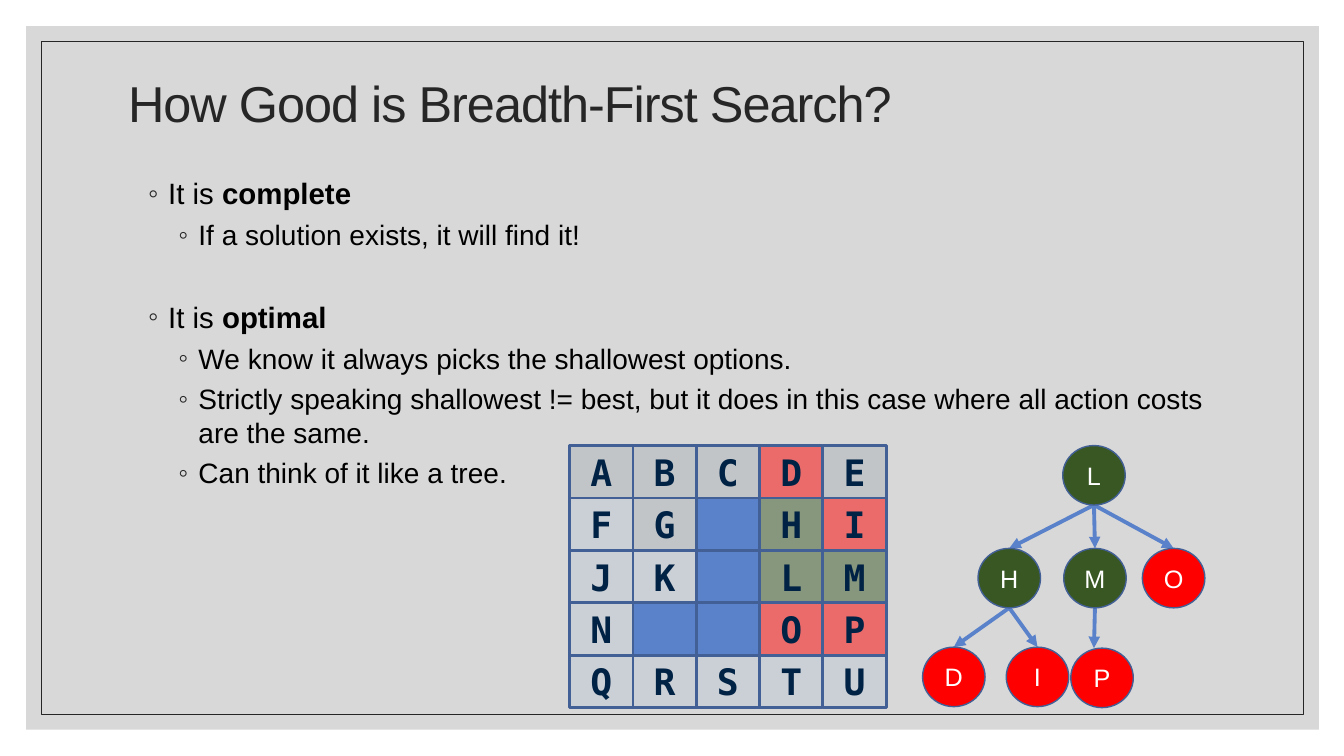
from lxml import etree
from pptx import Presentation
from pptx.dml.color import RGBColor
from pptx.enum.shapes import MSO_CONNECTOR, MSO_SHAPE
from pptx.enum.text import MSO_ANCHOR, PP_ALIGN
from pptx.oxml.ns import qn
from pptx.util import Inches, Pt

RECT, OVAL = MSO_SHAPE.RECTANGLE, MSO_SHAPE.OVAL
STRAIGHT = MSO_CONNECTOR.STRAIGHT
TOP, MIDDLE = MSO_ANCHOR.TOP, MSO_ANCHOR.MIDDLE
LEFT, CENTER = PP_ALIGN.LEFT, PP_ALIGN.CENTER

SANS, MONO = "Arial", "DejaVu Sans Mono"
COLORS = {
    "panel": "BFBFBF", "ink": "262626", "black": "000000", "white": "FFFFFF",
    "navy": "002244", "blue": "5A82CB", "edge": "436096",
    "green": "385723", "red": "FF0000",
}

# Bullets: level, space before, runs as (text, bold)
BULLETS = [
    (0, 0, [("It is ", False), ("complete", True)]),
    (1, 5, [("If a solution exists, it will find it!", False)]),
    (0, 34, [("It is ", False), ("optimal", True)]),
    (1, 5, [("We know it always picks the shallowest options.", False)]),
    (1, 5, [("Strictly speaking shallowest != best, but it does in this case "
             "where all action costs are the same.", False)]),
    (1, 5, [("Can think of it like a tree.", False)]),
]

# Maze rows, with # for a wall
MAZE = ["ABCDE", "FG#HI", "JK#LM", "N##OP", "QRSTU"]
SHADES = {"#": ("blue", 100)}
SHADES.update(dict.fromkeys("HLM", ("green", 50)))
SHADES.update(dict.fromkeys("DIOP", ("red", 50)))
SHADES.update(dict.fromkeys("ABCEG", ("navy", 10)))
OPEN = ("blue", 10)
CELL_W, CELL_H = 0.628, 0.52

# Tree nodes: left, top; edges: parent, child, shift of the tip
NODES = {
    "L": (10.54, 4.42), "H": (9.7, 5.44), "M": (10.55, 5.44),
    "O": (11.33, 5.44), "D": (9.15, 6.42), "I": (9.98, 6.42),
    "P": (10.62, 6.43),
}
EDGES = [("L", "H", 0), ("L", "M", 0), ("L", "O", 0),
         ("H", "D", 0), ("H", "I", 0), ("M", "P", -0.08)]
NODE_W, NODE_H = 0.62, 0.59


def color(name):
    return RGBColor.from_string(COLORS[name])


def write(para, text, font=SANS, size=18, ink="black", bold=False, track=0):
    run = para.add_run()
    run.text = text
    run.font.name, run.font.size, run.font.bold = font, Pt(size), bold
    run.font.color.rgb = color(ink)
    if track:
        run.font._element.set("spc", str(track))


class Deck:
    def __init__(self):
        self.file = Presentation()
        self.file.slide_width = Inches(13.33)
        self.file.slide_height = Inches(7.5)
        self.slide = self.file.slides.add_slide(self.file.slide_layouts[5])
        self.shapes = self.slide.shapes

    def shape(self, kind, box, fill=None, alpha=100, line=None, width=1):
        item = self.shapes.add_shape(kind, *map(Inches, box))
        item.shadow.inherit = False
        if fill:
            item.fill.solid()
            item.fill.fore_color.rgb = color(fill)
            if alpha < 100:
                tint = item.fill._xPr.find(".//" + qn("a:srgbClr"))
                etree.SubElement(tint, qn("a:alpha"), val=str(alpha * 1000))
        else:
            item.fill.background()
        if line:
            item.line.color.rgb = color(line)
            item.line.width = Pt(width)
        else:
            item.line.fill.background()
        return item

    def label(self, item, text, **style):
        frame = item.text_frame
        frame.margin_left = frame.margin_right = 0
        frame.margin_top = frame.margin_bottom = 0
        frame.vertical_anchor = MIDDLE
        para = frame.paragraphs[0]
        para.alignment = CENTER
        write(para, text, **style)

    def title(self, text, box):
        item = self.shapes.title
        item.left, item.top, item.width, item.height = map(Inches, box)
        self.shapes._spTree.append(item._element)  # in front of the panel
        frame = item.text_frame
        frame.vertical_anchor = MIDDLE
        para = frame.paragraphs[0]
        para.alignment, para.line_spacing = LEFT, 0.9
        write(para, text, size=36, ink="ink", track=-70)

    def bullets(self, rows, box):
        frame = self.shapes.add_textbox(*map(Inches, box)).text_frame
        frame.word_wrap, frame.vertical_anchor = True, TOP
        for i, (level, space, runs) in enumerate(rows):
            para = frame.add_paragraph() if i else frame.paragraphs[0]
            para.level, para.space_before = level, Pt(space)
            props = para._p.get_or_add_pPr()
            props.set("marL", str(Inches(0.5 + 0.3 * level)))
            props.set("indent", str(Inches(-0.2)))
            tint = etree.SubElement(props, qn("a:buClr"))
            etree.SubElement(tint, qn("a:srgbClr"), val=COLORS["ink"])
            etree.SubElement(props, qn("a:buFont"), typeface=SANS)
            etree.SubElement(props, qn("a:buChar"), char="◦")
            for text, bold in runs:
                write(para, text, size=21 - level, bold=bold)

    def arrow(self, start, end):
        item = self.shapes.add_connector(
            STRAIGHT, *map(Inches, (*start, *end)))
        item.line.color.rgb = color("blue")
        item.line.width = Pt(2.75)
        etree.SubElement(item.line._get_or_add_ln(), qn("a:tailEnd"),
                         type="triangle")
        etree.SubElement(item._element.spPr, qn("a:effectLst"))


def main():
    deck = Deck()

    # Panel, frame and text
    deck.shape(RECT, (0.26, 0.26, 12.82, 6.98), "panel", 60)
    deck.shape(RECT, (0.41, 0.41, 12.52, 6.68), line="ink", width=0.5)
    deck.title("How Good is Breadth-First Search?", (1.17, 0.41, 11, 1.28))
    deck.bullets(BULLETS, (1.07, 1.69, 11, 4.82))

    # Maze
    for r, row in enumerate(MAZE):
        for c, mark in enumerate(row):
            fill, alpha = SHADES.get(mark, OPEN)
            box = (5.65 + c * CELL_W, 4.42 + r * CELL_H, CELL_W, CELL_H)
            cell = deck.shape(RECT, box, fill, alpha, "edge", 2)
            if mark != "#":
                deck.label(cell, mark, font=MONO, size=26, ink="navy",
                           bold=True)

    # Search tree
    for head, child, shift in EDGES:
        (x1, y1), (x2, y2) = NODES[head], NODES[child]
        deck.arrow((x1 + NODE_W / 2, y1 + NODE_H),
                   (x2 + NODE_W / 2 + shift, y2))
    for name, spot in NODES.items():
        fill = "green" if name in "LHM" else "red"
        node = deck.shape(OVAL, (*spot, NODE_W, NODE_H), fill, line="edge")
        deck.label(node, name, ink="white")

    deck.file.save("out.pptx")


if __name__ == "__main__":
    main()
